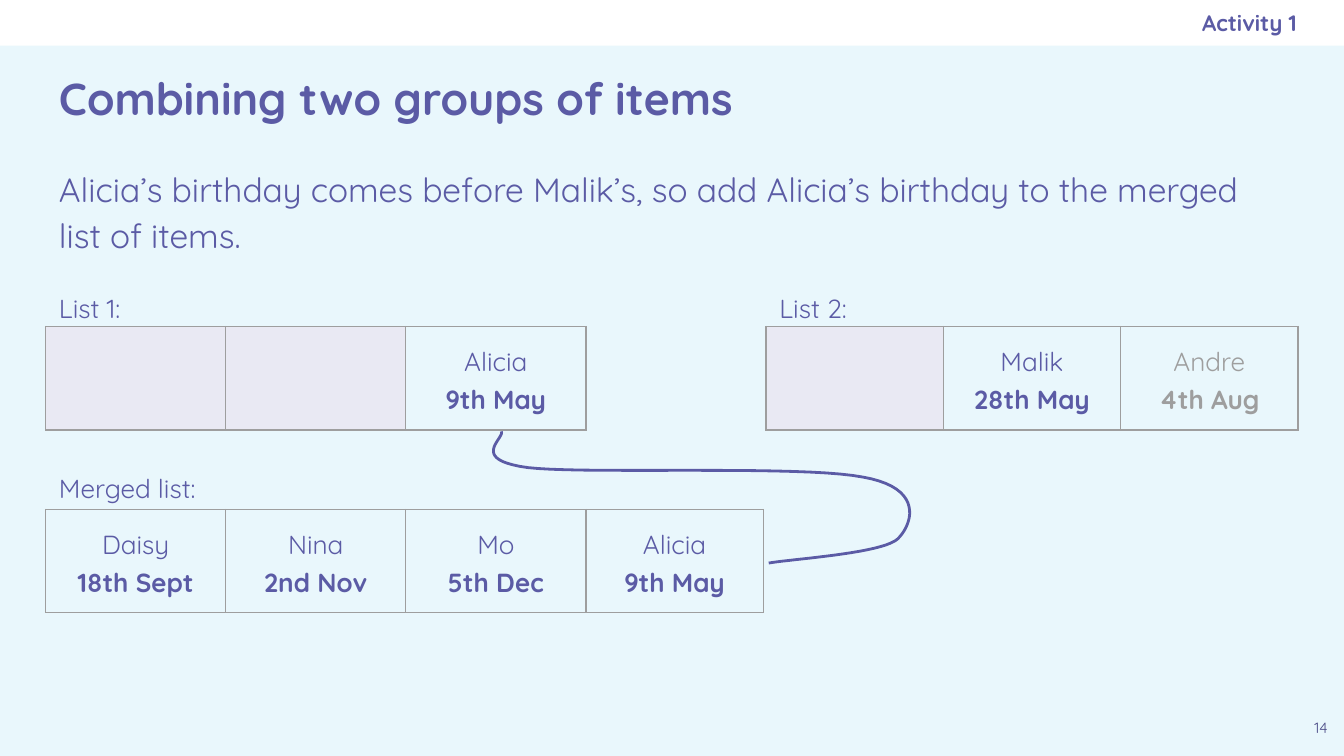
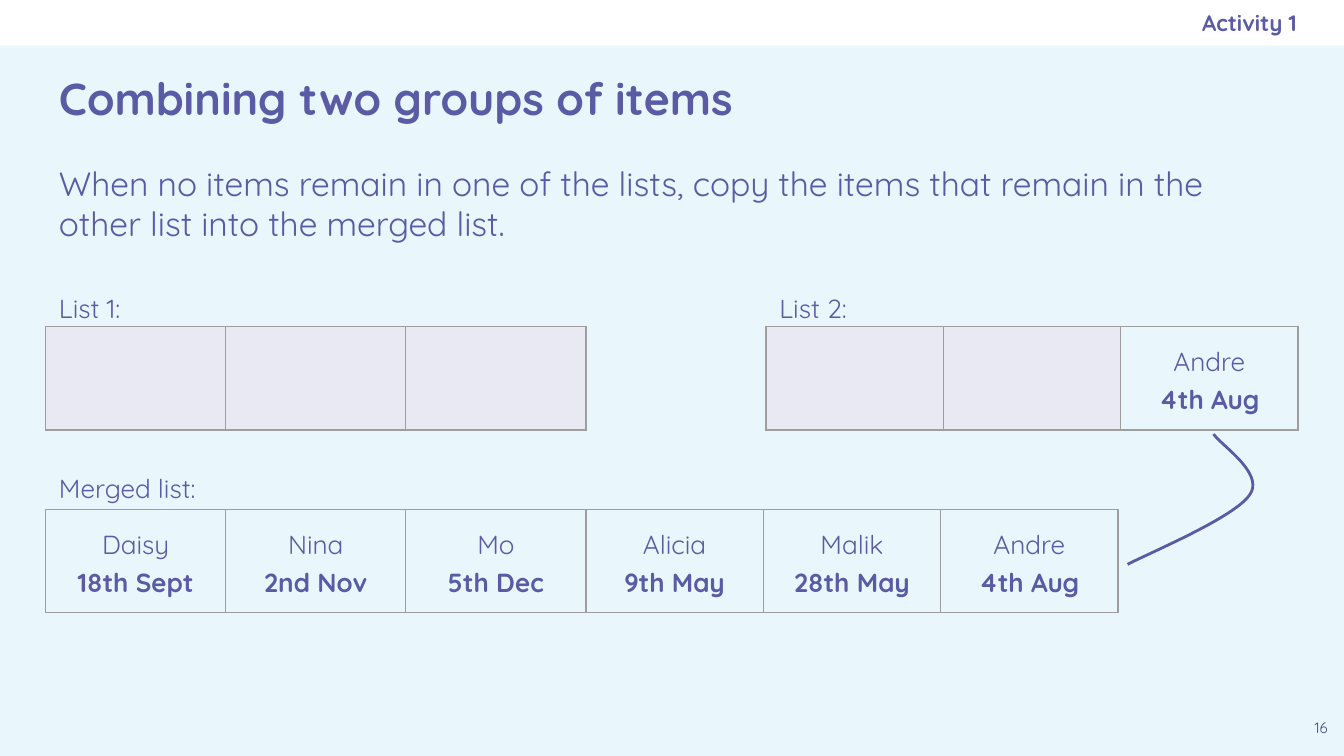
from lxml import etree
from pptx import Presentation
from pptx.dml.color import RGBColor
from pptx.enum import shapes, text
from pptx.oxml import ns
from pptx.util import Inches, Pt

PURPLE = RGBColor(0x5B, 0x5B, 0xA5)
DARK_PURPLE = RGBColor(0x49, 0x49, 0x85)
LILAC = RGBColor(0xE9, 0xE9, 0xF3)
GREY = RGBColor(0x9E, 0x9E, 0x9E)
PALE_BLUE = RGBColor(0xE9, 0xF7, 0xFC)
WHITE = RGBColor(0xFF, 0xFF, 0xFF)

MARGIN = 0.34
INSETS = dict.fromkeys(("margin_left", "margin_top", "margin_right", "margin_bottom"), Inches(0.1))
MIDDLE = {"vertical_anchor": text.MSO_ANCHOR.MIDDLE}
CENTER = {"alignment": text.PP_ALIGN.CENTER}
SPACED = {"line_spacing": 1.15, "space_after": Pt(16)}
CELL_PARA = {"line_spacing": 1.15, **CENTER}

USED, GAP = "used", "gap"
DAISY = ("Daisy", "18th Sept", PURPLE)
NINA = ("Nina", "2nd Nov", PURPLE)
MO = ("Mo", "5th Dec", PURPLE)
ALICIA = ("Alicia", "9th May", PURPLE)
MALIK = ("Malik", "28th May", PURPLE)
ANDRE = ("Andre", "4th Aug", PURPLE)
ANDRE_WAITING = ("Andre", "4th Aug", GREY)

PAGES = [
    {
        "number": "14",
        "body": "Alicia’s birthday comes before Malik’s, so add Alicia’s birthday to the merged list of items.",
        "body_format": SPACED,
        "lists": [USED, USED, ALICIA, GAP, USED, MALIK, ANDRE_WAITING],
        "merged": [DAISY, NINA, MO, ALICIA],
        "curve": [(3.73, 3.21),
                  (3.76, 3.26), (3.48, 3.42), (3.93, 3.48),
                  (4.38, 3.53), (5.96, 3.46), (6.42, 3.55),
                  (6.88, 3.63), (6.79, 3.9), (6.68, 4.01),
                  (6.56, 4.12), (5.88, 4.16), (5.72, 4.19)],
    },
    {
        "number": "16",
        "body": "When no items remain in one of the lists, copy the items that remain in the other list into the merged list.",
        "body_format": {},
        "lists": [USED, USED, USED, GAP, USED, USED, ANDRE],
        "merged": [DAISY, NINA, MO, ALICIA, MALIK, ANDRE],
        "curve": [(9.03, 3.23),
                  (9.08, 3.31), (9.41, 3.52), (9.3, 3.68),
                  (9.19, 3.85), (8.54, 4.12), (8.39, 4.2)],
    },
]


def write(para, wording, size, color, bold=False, para_format={}):
    for name, value in para_format.items():
        setattr(para, name, value)
    span = para.add_run()
    span.text = wording
    for name, value in {"name": "Quicksand", "size": Pt(size), "bold": bold}.items():
        setattr(span.font, name, value)
    span.font.color.rgb = color


def add_border(cell, side, color):
    border = etree.SubElement(cell._tc.get_or_add_tcPr(), ns.qn(f"a:ln{side}"), w=str(Pt(0.75)))
    if color is None:
        etree.SubElement(border, ns.qn("a:noFill"))
    else:
        solid = etree.SubElement(border, ns.qn("a:solidFill"))
        etree.SubElement(solid, ns.qn("a:srgbClr"), val=str(color))


deck = Presentation()
deck.slide_width = Inches(10)
deck.slide_height = deck.slide_width * 9 // 16
master_fill = deck.slide_master.background.fill
master_fill.solid()
master_fill.fore_color.rgb = PALE_BLUE

for content in PAGES:
    page = deck.slides.add_slide(deck.slide_layouts[6])

    band = page.shapes.add_shape(shapes.MSO_SHAPE.RECTANGLE, 0, 0, deck.slide_width, Inches(MARGIN))
    band.shadow.inherit = False
    band.fill.solid()
    band.fill.fore_color.rgb = WHITE
    band.line.fill.background()

    for wording, place, size, color, bold, frame_format, para_format in [
        (content["body"], (MARGIN, 1.11, 9.32, 0.92), 18, PURPLE, False, {}, content["body_format"]),
        ("Combining two groups of items", (MARGIN, 0.34, 9.32, 0.77), 24, PURPLE, True, MIDDLE, {}),
        (content["number"], (9.66, 5.28, 0.34, 0.34), 8, DARK_PURPLE, False, {}, CENTER),
        ("Activity 1", (5.75, 0, 3.9, 0.34), 12, PURPLE, True,
         {"margin_right": 0, **MIDDLE}, {"alignment": text.PP_ALIGN.RIGHT}),
        ("List 1:", (MARGIN, 2.04, 1.4, 0.42), 14, PURPLE, False, {}, SPACED),
        ("List 2:", (5.7, 2.04, 1.4, 0.42), 14, PURPLE, False, {}, SPACED),
        ("Merged list:", (MARGIN, 3.38, 1.4, 0.42), 14, PURPLE, False, {}, SPACED),
    ]:
        box = page.shapes.add_textbox(*map(Inches, place))
        for name, value in {"word_wrap": True, **INSETS, **frame_format}.items():
            setattr(box.text_frame, name, value)
        write(box.text_frame.paragraphs[0], wording, size, color, bold, para_format)

    for items, top, wide_columns in [(content["lists"], 2.43, 4), (content["merged"], 3.79, 3)]:
        widths = [1.34 if index < wide_columns else 1.32 for index in range(len(items))]
        frame = page.shapes.add_table(1, len(items), Inches(MARGIN), Inches(top),
                                      Inches(sum(widths)), Inches(0.77))
        table = frame.table
        table.first_row = table.horz_banding = False
        for column, width in zip(table.columns, widths):
            column.width = Inches(width)
        for cell, item in zip(table.rows[0].cells, items):
            for side in "LRTB":
                add_border(cell, side, None if item == GAP and side in "TB" else GREY)
            for name, value in {**INSETS, **MIDDLE}.items():
                setattr(cell, name, value)
            if item == USED:
                cell.fill.solid()
                cell.fill.fore_color.rgb = LILAC
            else:
                cell.fill.background()
            if item not in (USED, GAP):
                person, birthday, color = item
                write(cell.text_frame.paragraphs[0], person, 14, color, False, CELL_PARA)
                write(cell.text_frame.add_paragraph(), birthday, 14, color, True, CELL_PARA)

    knots = content["curve"]
    points = []
    for first in range(0, len(knots) - 1, 3):
        for step in range(1, 21):
            t = step / 20
            weights = ((1 - t) ** 3, 3 * t * (1 - t) ** 2, 3 * t ** 2 * (1 - t), t ** 3)
            points.append(tuple(
                Inches(sum(weight * knot[axis] for weight, knot in zip(weights, knots[first:first + 4])))
                for axis in (0, 1)))
    builder = page.shapes.build_freeform(*map(Inches, knots[0]))
    builder.add_line_segments(points, close=False)
    curve = builder.convert_to_shape()
    curve.shadow.inherit = False
    curve.fill.background()
    curve.line.color.rgb = PURPLE
    curve.line.width = Pt(1.5)

deck.save("out.pptx")
